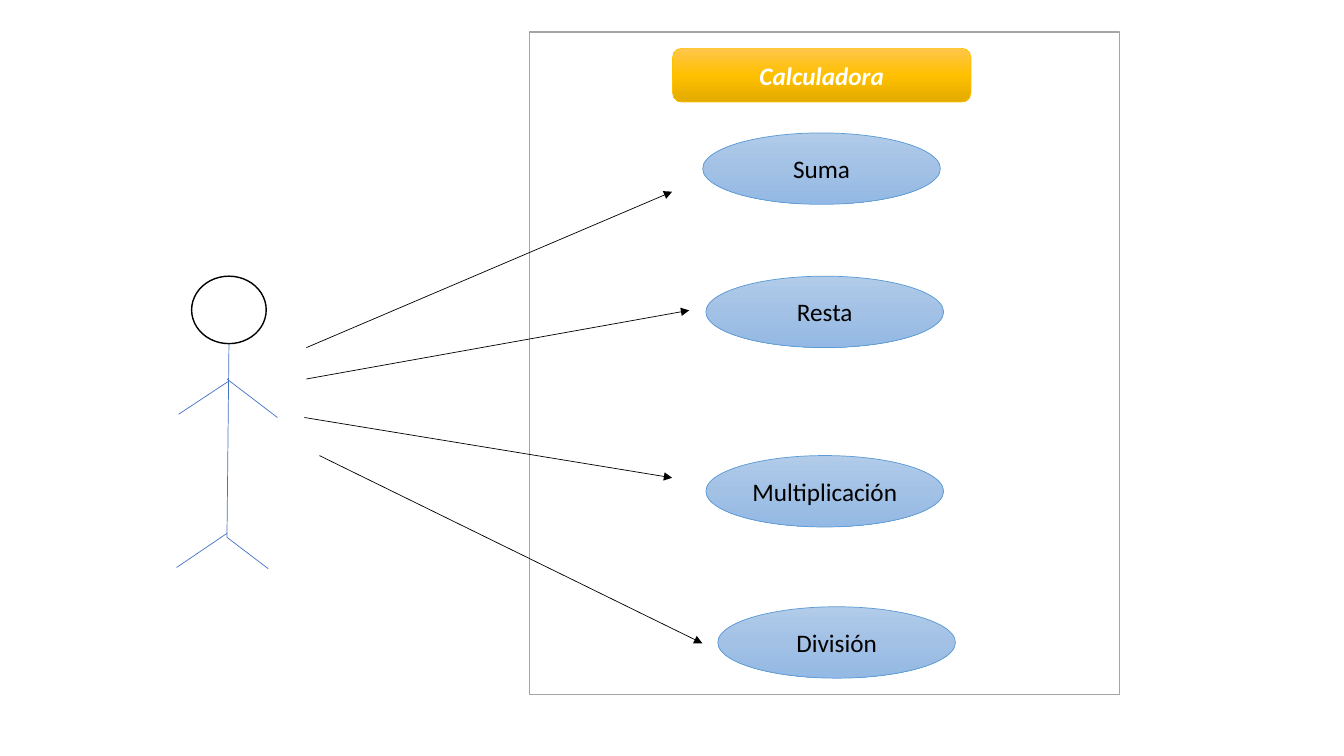
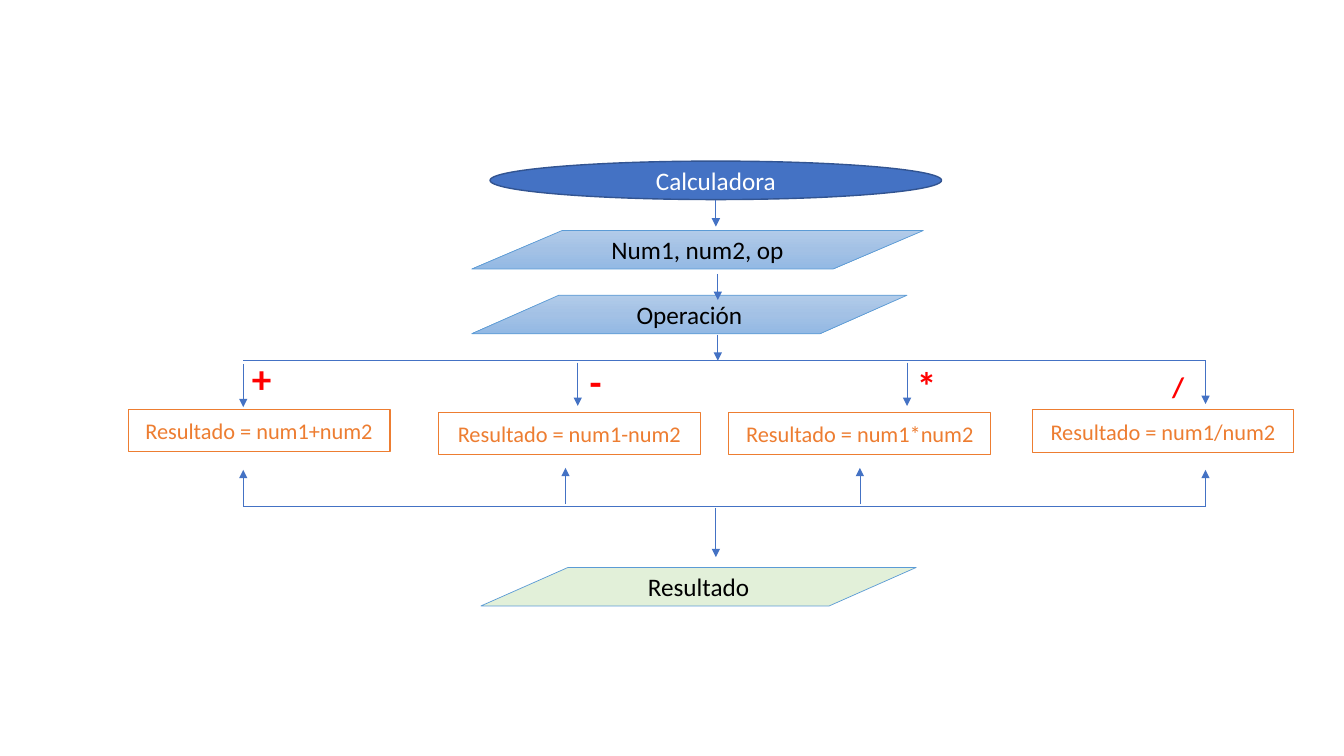
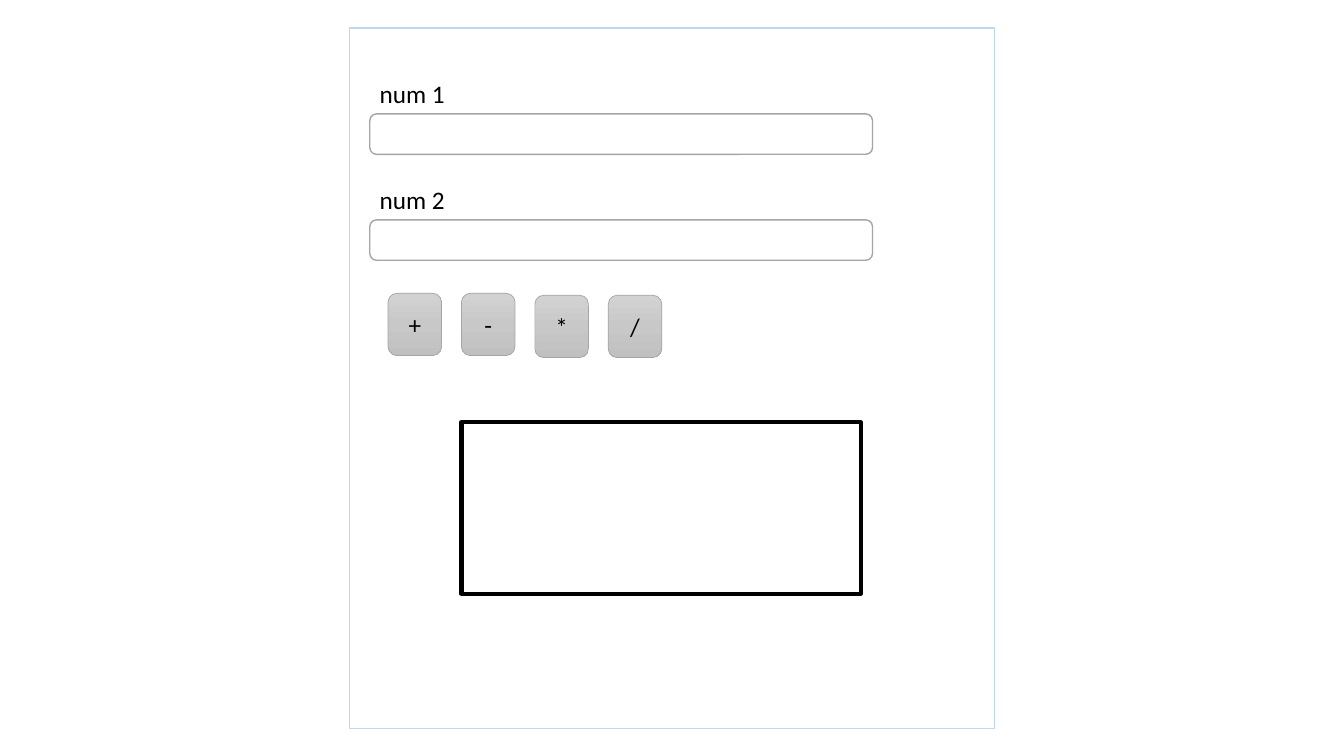
from collections import namedtuple
from copy import deepcopy

from lxml import etree
from pptx import Presentation
from pptx import util as u
from pptx.dml.color import RGBColor
from pptx.enum import shapes, text
from pptx.oxml.ns import qn

FONT = "Calibri"
WHITE, BLACK, RED = "FFFFFF", "000000", "FF0000"
BLUE, DARK_BLUE, SKY, PALE_SKY = "4472C4", "325491", "5B9BD5", "BDD7EE"
GOLD, ORANGE, GRAY, PALE_GREEN = "FFC000", "ED7D31", "A5A5A5", "E2F0D9"
SKY_GRADIENT = ("B1CBE9", "A3C1E5", "93B9E4")
GOLD_GRADIENT = ("FFC64B", GOLD, "E3AB00")
GRAY_GRADIENT = ("D2D2D2", "C8C8C8", "C0C0C0")

KIND = shapes.MSO_SHAPE
Box = namedtuple("Box", "left top width height")
Branch = namedtuple(
    "Branch", "sign size sign_x sign_y down_x down_y result_x result_y up_x up_y")


def rgb(value):
    """Return the colour of a hex string."""
    return RGBColor.from_string(value)


def inside(box, left, top, width, height):
    """Return a box placed relative to the corner of another box."""
    return Box(box.left + left, box.top + top, width, height)


def lengths(values):
    """Turn centimetres into lengths."""
    return [u.Cm(value) for value in values]


def paint(shape, fill):
    """Fill a shape with nothing, one colour or a downward gradient."""
    if fill is None:
        shape.fill.background()
    elif isinstance(fill, str):
        shape.fill.solid()
        shape.fill.fore_color.rgb = rgb(fill)
    else:
        shape.fill.gradient()
        shape.fill.gradient_angle = 270
        stops = shape.element.spPr.find(qn("a:gradFill")).find(qn("a:gsLst"))
        stops.insert(1, deepcopy(stops[0]))
        for index, stop in enumerate(shape.fill.gradient_stops):
            stop.position = index / 2
            stop.color.rgb = rgb(fill[index])


def write(frame, words, size, color, bold=False, italic=False):
    """Add one styled run to the first paragraph of a frame."""
    run = frame.paragraphs[0].add_run()
    run.text = words
    run.font.name = FONT
    run.font.size = u.Pt(size)
    run.font.color.rgb = rgb(color)
    run.font.bold = bold
    run.font.italic = italic


def add_shape(slide, kind, box, fill, line, weight=0.5, words="", size=18,
              color=BLACK, **style):
    """Draw a preset shape with centred text."""
    shape = slide.shapes.add_shape(kind, *lengths(box))
    shape.shadow.inherit = False
    paint(shape, fill)
    shape.line.color.rgb = rgb(line)
    shape.line.width = u.Pt(weight)
    if words:
        frame = shape.text_frame
        frame.vertical_anchor = text.MSO_ANCHOR.MIDDLE
        frame.paragraphs[0].alignment = text.PP_ALIGN.CENTER
        write(frame, words, size, color, **style)


def add_label(slide, box, words, size, color, bold=False):
    """Draw a text box."""
    frame = slide.shapes.add_textbox(*lengths(box)).text_frame
    frame.word_wrap = True
    frame.auto_size = text.MSO_AUTO_SIZE.SHAPE_TO_FIT_TEXT
    write(frame, words, size, color, bold)


def add_line(slide, box, start, end, color=BLUE, arrow=False):
    """Draw a line between two points relative to a box."""
    ends = [box.left + start[0], box.top + start[1],
            box.left + end[0], box.top + end[1]]
    connector = slide.shapes.add_connector(
        shapes.MSO_CONNECTOR.STRAIGHT, *lengths(ends))
    connector.line.color.rgb = rgb(color)
    connector.line.width = u.Pt(0.5)
    properties = connector.element.spPr
    if arrow:
        outline = properties.find(qn("a:ln"))
        etree.SubElement(outline, qn("a:tailEnd"), type="triangle")
    etree.SubElement(properties, qn("a:effectLst"))


def draw_actor(slide, box):
    """Draw the stick figure."""
    add_shape(slide, KIND.OVAL, inside(box, 0.38, 0, 1.88, 1.7), WHITE, BLACK, 1)
    body = (1.32, 1.7), (1.27, 6.58)
    arms = ((1.32, 2.64), (0.05, 3.48)), ((2.54, 3.56), (1.27, 2.59))
    legs = ((2.31, 7.37), (1.27, 6.58)), ((1.27, 6.48), (0, 7.34))
    for start, end in (body, *arms, *legs):
        add_line(slide, box, start, end)


def draw_system(slide, box):
    """Draw the system boundary with its title and use cases."""
    add_shape(slide, KIND.RECTANGLE, box, WHITE, GRAY, 1)
    add_shape(slide, KIND.ROUNDED_RECTANGLE, inside(box, 3.61, 0.41, 7.52, 1.35),
              GOLD_GRADIENT, GOLD, words="Calculadora", color=WHITE,
              bold=True, italic=True)
    use_cases = (("Suma", 4.37, 2.54), ("Resta", 4.45, 6.15),
                 ("Multiplicación", 4.45, 10.67), ("División", 4.75, 14.48))
    for name, left, top in use_cases:
        add_shape(slide, KIND.OVAL, inside(box, left, top, 5.99, 1.8),
                  SKY_GRADIENT, SKY, words=name)


def draw_associations(slide, box):
    """Draw the arrows from the actor to the use cases."""
    arrows = (((0.05, 3.93), (9.27, 0)), ((0.05, 4.72), (9.7, 2.99)),
              ((0, 5.69), (9.27, 7.21)), ((0.38, 6.65), (10.03, 11.38)))
    for start, end in arrows:
        add_line(slide, box, start, end, BLACK, arrow=True)


def draw_input_steps(slide, box):
    """Draw the start of the flow and its two input steps."""
    add_shape(slide, KIND.OVAL, inside(box, 0.46, 0, 11.38, 0.97), BLUE,
              DARK_BLUE, 1, "Calculadora", color=WHITE)
    for words, top, width in (("Num1, num2, op", 1.75, 11.38),
                              ("Operación", 3.38, 10.97)):
        add_shape(slide, KIND.FLOWCHART_DATA, inside(box, 0, top, width, 0.97),
                  SKY_GRADIENT, SKY, words=words)
    for left, top in ((6.15, 0.99), (6.2, 2.84), (6.2, 4.37)):
        add_line(slide, box, (left, top), (left, top + 0.66), arrow=True)


def draw_branches(slide, box):
    """Draw the four operations between two rails."""
    for rail in (0, box.height):
        add_line(slide, box, (2.9, rail), (27.15, rail))
    branches = (
        Branch("+", 28, 2.87, -0.28, 2.9, 0.08, 0, 1.22, 2.9, 3.66),
        Branch("-", 28, 11.38, -0.2, 11.33, 0.05, 7.82, 1.3, 11.02, 3.61),
        Branch("*", 28, 19.63, -0.1, 19.63, 0.05, 15.14, 1.3, 18.44, 3.61),
        Branch("/", 20, 26.06, 0.1, 27.15, 0, 22.78, 1.24, 27.15, 3.66),
    )
    for branch in branches:
        add_line(slide, box, (branch.down_x, branch.down_y),
                 (branch.down_x, branch.down_y + 1.09), arrow=True)
        add_label(slide, inside(box, branch.sign_x, branch.sign_y, 1.07, 1.45),
                  branch.sign, branch.size, RED, bold=True)
        add_shape(slide, KIND.RECTANGLE,
                  inside(box, branch.result_x, branch.result_y, 6.6, 1.07),
                  None, ORANGE, 0.75, f"Resultado = num1{branch.sign}num2",
                  16, ORANGE)
        add_line(slide, box, (branch.up_x, branch.up_y),
                 (branch.up_x, branch.up_y - 0.91), arrow=True)


def draw_output_step(slide, box):
    """Draw the final step of the flow."""
    add_line(slide, box, (5.92, 0), (5.92, 1.24), arrow=True)
    add_shape(slide, KIND.FLOWCHART_DATA, inside(box, 0, 1.5, box.width, 0.97),
              PALE_GREEN, SKY, words="Resultado")


def draw_window(slide, box):
    """Draw the calculator window with fields, keys and display."""
    add_shape(slide, KIND.RECTANGLE, box, WHITE, PALE_SKY, 1)
    for index, name in enumerate(("num 1", "num 2")):
        top = 1.14 + 2.67 * index
        add_label(slide, inside(box, 0.51, top, 2.54, 1.02), name, 18, BLACK)
        add_shape(slide, KIND.ROUNDED_RECTANGLE,
                  inside(box, 0.51, top + 1.02, 12.67, 1.02), WHITE, GRAY, 1)
    for index, (sign, top) in enumerate(zip("+-*/", (6.68, 6.68, 6.73, 6.73))):
        add_shape(slide, KIND.ROUNDED_RECTANGLE,
                  inside(box, 0.97 + 1.85 * index, top, 1.35, 1.57),
                  GRAY_GRADIENT, GRAY, words=sign)
    add_shape(slide, KIND.RECTANGLE, inside(box, 2.82, 9.93, 10.06, 4.32),
              WHITE, BLACK, 3)


def main():
    """Build the three slides and save them."""
    presentation = Presentation()
    presentation.slide_width, presentation.slide_height = lengths((33.87, 19.05))
    blank = presentation.slide_layouts[6]
    use_cases, flow, screen = (
        presentation.slides.add_slide(blank) for _ in range(3))

    draw_actor(use_cases, Box(4.45, 6.96, 2.54, 7.37))
    draw_system(use_cases, Box(13.34, 0.81, 14.88, 16.69))
    draw_associations(use_cases, Box(7.67, 4.83, 10.03, 11.38))

    draw_input_steps(flow, Box(11.89, 4.06, 11.84, 5.03))
    draw_branches(flow, Box(3.23, 9.09, 29.39, 3.66))
    draw_output_step(flow, Box(12.12, 12.8, 10.97, 2.47))

    draw_window(screen, Box(8.81, 0.71, 16.26, 17.65))
    presentation.save("out.pptx")


main()
